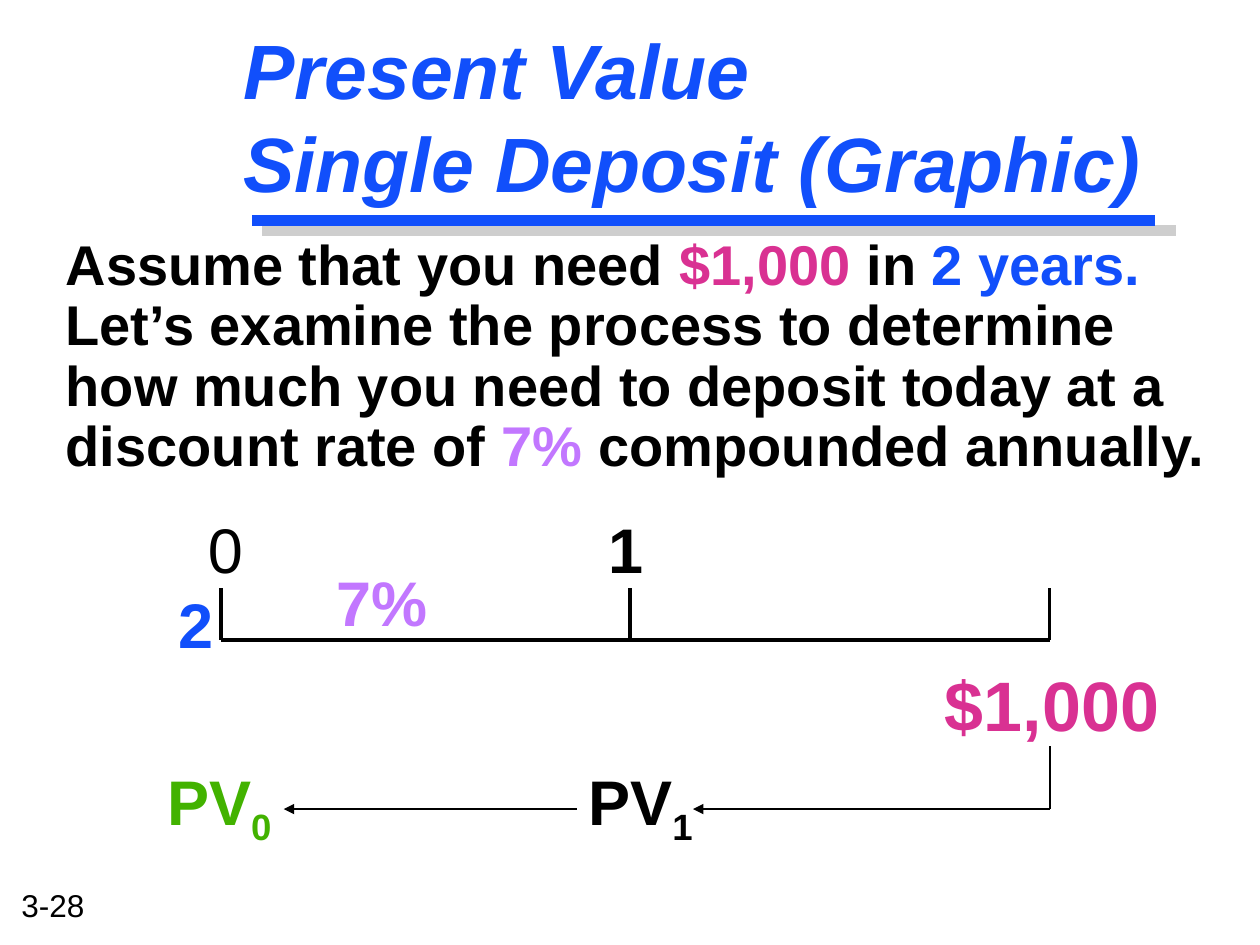
from lxml import etree
from pptx import Presentation
from pptx.dml.color import RGBColor
from pptx.enum import shapes, text
from pptx.oxml.ns import qn
from pptx.util import Cm, Pt

HUES = {"black": "000000", "blue": "114FFB", "grey": "CECECE",
        "pink": "D93192", "violet": "C277FF", "green": "42B200"}


def rgb(hue):
    return RGBColor.from_string(HUES[hue])


def style(font, size, bold=True, italic=False):
    font.name, font.size = "Arial", Pt(size)
    font.bold, font.italic = bold, italic


def add_run(para, words, hue, sub=False):
    run = para.add_run()
    run.text = words
    run.font.color.rgb = rgb(hue)
    if sub:
        run.font._element.set("baseline", "-25000")
    return run


def place(shape, left, top, width, height):
    shape.left, shape.top = Cm(left), Cm(top)
    shape.width, shape.height = Cm(width), Cm(height)


def add_line(slide, start, end, width, hue="black", arrow=False):
    line = slide.shapes.add_connector(
        shapes.MSO_CONNECTOR.STRAIGHT, *map(Cm, start + end))
    line.line.width = Pt(width)
    line.line.color.rgb = rgb(hue)
    props = line._element.spPr
    if arrow:
        head = etree.SubElement(line.line._get_or_add_ln(), qn("a:headEnd"))
        head.set("type", "triangle")
    etree.SubElement(props, qn("a:effectLst"))


def add_label(slide, box, words, hue, size=36, bold=True, sub=""):
    shape = slide.shapes.add_textbox(*map(Cm, box))
    shape.text_frame.word_wrap = False
    para = shape.text_frame.paragraphs[0]
    style(para.font, size, bold)
    add_run(para, words, hue)
    if sub:
        add_run(para, sub, hue, sub=True)


def add_shadow(run):
    effects = etree.SubElement(run.font._element, qn("a:effectLst"))
    shade = etree.SubElement(effects, qn("a:outerShdw"),
                             dist="53882", dir="2700000")
    etree.SubElement(shade, qn("a:srgbClr"), val=HUES["grey"])
    # Effects come before the other run properties except the fill
    props = run.font._element
    props.remove(effects)
    props.find(qn("a:solidFill")).addnext(effects)


def fill_title(title):
    place(title, 4.65, 0.2, 19.69, 4.24)
    frame = title.text_frame
    frame.auto_size = text.MSO_AUTO_SIZE.NONE
    frame.vertical_anchor = text.MSO_ANCHOR.MIDDLE
    para = frame.paragraphs[0]
    para.alignment = text.PP_ALIGN.LEFT
    style(para.font, 44, italic=True)
    add_shadow(add_run(para, "Present Value", "blue"))
    para.add_line_break()
    add_shadow(add_run(para, "Single Deposit (Graphic)", "blue"))


def fill_body(body):
    place(body, 1.07, 4.65, 23.5, 5.51)
    frame = body.text_frame
    frame.auto_size = text.MSO_AUTO_SIZE.NONE
    para = frame.paragraphs[0]
    para.line_spacing = 0.9
    para.space_before = Pt(0)
    style(para.font, 32)
    props = para._p.get_or_add_pPr()
    props.set("marL", "0")
    props.set("indent", "0")
    props.find(qn("a:defRPr")).addprevious(etree.Element(qn("a:buNone")))
    for words, hue in (
            ("Assume that you need ", "black"), ("$1,000 ", "pink"),
            ("in ", "black"), ("2 years.", "blue"),
            (" Let’s examine the process to determine how much you need "
             "to deposit today at a discount rate of ", "black"),
            ("7% ", "violet"), ("compounded annually.", "black")):
        add_run(para, words, hue)


def draw_time(slide):
    # Axis with one tick per year
    left, right, top, base = 4.45, 21.16, 11.86, 12.9
    add_line(slide, (left, base), (right, base), 2)
    for x in (left, 12.7, right):
        add_line(slide, (x, top), (x, base), 2)
    add_label(slide, (3.94, 10.16, 1.22, 1.78), "0", "black", bold=False)
    add_label(slide, (12.01, 10.16, 1.22, 1.78), "1", "black")
    add_label(slide, (3.35, 11.68, 1.22, 1.78), "2", "blue")
    add_label(slide, (6.53, 11.23, 2.34, 1.78), "7%", "violet")


def draw_flow(slide):
    # Discounting path from the future sum back to today
    end, y = 21.16, 16.31
    add_label(slide, (18.8, 13.21, 4.83, 1.93), "$1,000", "pink", 40)
    add_line(slide, (end, 15.04), (end, y), 1)
    add_line(slide, (13.97, y), (end, y), 1, arrow=True)
    add_line(slide, (5.72, y), (11.63, y), 1, arrow=True)
    for x, year, hue in ((11.61, "1", "black"), (3.12, "0", "green")):
        add_label(slide, (x, 15.24, 2.67, 1.78), "PV", hue, sub=year)


def main():
    deck = Presentation()
    deck.slide_width, deck.slide_height = Cm(25.4), Cm(19.05)
    slide = deck.slides.add_slide(deck.slide_layouts[1])
    fill_title(slide.shapes.title)
    fill_body(slide.placeholders[1])
    # Title rule and its shade
    add_line(slide, (5.28, 4.65), (23.7, 4.65), 6, "grey")
    add_line(slide, (5.08, 4.45), (23.29, 4.45), 6, "blue")
    draw_time(slide)
    draw_flow(slide)
    add_label(slide, (0.18, 17.73, 1.85, 1.02), "3-28", "black", 18, False)
    deck.save("out.pptx")


main()
